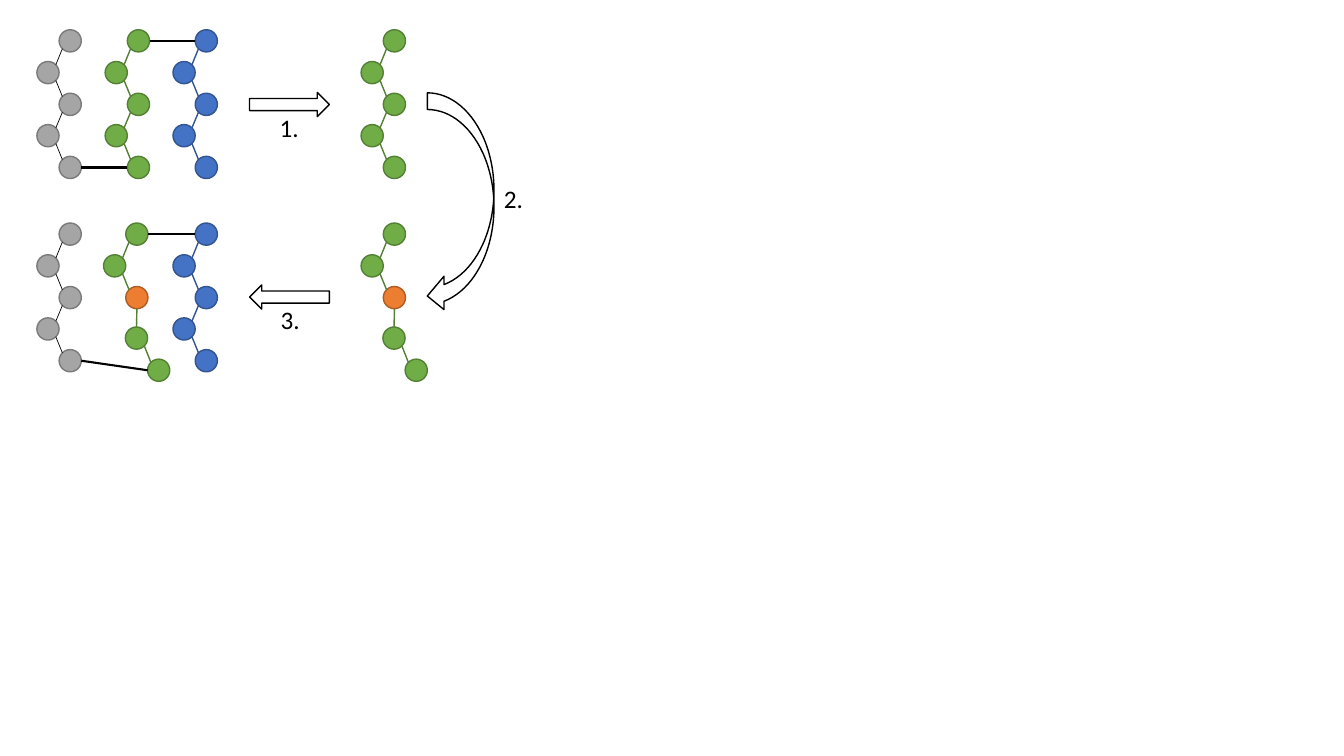
from dataclasses import dataclass
from math import sqrt
from lxml import etree
from pptx import Presentation
from pptx import util as u
from pptx.dml.color import RGBColor
from pptx.enum import shapes, text
from pptx.oxml.ns import qn


@dataclass(frozen=True)
class Theme:
    font: str = "Calibri"
    label_size: float = 18
    ink: str = "000000"
    paper: str = "FFFFFF"
    outline: float = 1
    bridge: float = 1.5


THEME = Theme()
PALETTE = {
    "grey": ("A5A5A5", "7A7A7A", "000000", 0.5),
    "green": ("70AD47", "538035", "538035", 1),
    "blue": ("4472C4", "325491", "325491", 1),
    "orange": ("ED7D31", "AF5C24", "538035", 1),
}
BALL = 0.56
ZIGZAG = [(0, 0), (-BALL, 0.8), (0, 1.6), (-BALL, 2.39), (0, 3.19)]
BULGED = [(0, 0), (-BALL, 0.8), (0, 1.6), (-0.01, 2.62), (0.55, 3.43)]
MUTATED = ["green", "green", "orange", "green", "green"]
UPPER, LOWER = 0.75, 5.62
STRANDS = {
    "folded grey": (1.49, UPPER, ZIGZAG, ["grey"] * 5),
    "folded green": (3.21, UPPER, ZIGZAG, ["green"] * 5),
    "folded blue": (4.92, UPPER, ZIGZAG, ["blue"] * 5),
    "refolded grey": (1.49, LOWER, ZIGZAG, ["grey"] * 5),
    "refolded blue": (4.92, LOWER, ZIGZAG, ["blue"] * 5),
    "mutated": (9.66, LOWER, BULGED, MUTATED),
    "refolded green": (3.17, LOWER, BULGED, MUTATED),
    "extracted": (9.66, UPPER, ZIGZAG, ["green"] * 5),
}
BRIDGES = [
    ("folded grey", "folded green", -1),
    ("folded green", "folded blue", 0),
    ("refolded grey", "refolded green", -1),
    ("refolded green", "refolded blue", 0),
]
ARROWS = [
    (shapes.MSO_SHAPE.RIGHT_ARROW, 6.29, 2.33, 2.01, 0.61, 0, THEME.paper),
    (shapes.MSO_SHAPE.RIGHT_ARROW, 6.29, 7.18, 2.01, 0.61, 180, THEME.paper),
    (shapes.MSO_SHAPE.CURVED_LEFT_ARROW, 10.77, 2.34, 1.68, 5.54, 0, None),
]
LABELS = [("1.", 6.8, 2.7), ("3.", 6.82, 7.55), ("2.", 12.45, 4.5)]


def add_line(parent, start, end, colour, width):
    line = parent.add_connector(
        shapes.MSO_CONNECTOR.STRAIGHT, *(u.Cm(value) for value in (*start, *end)))
    line.line.color.rgb = RGBColor.from_string(colour)
    line.line.width = u.Pt(width)
    etree.SubElement(line._element.spPr, qn("a:effectLst"))


def add_figure(parent, kind, left, top, width, height, fill, outline):
    figure = parent.add_shape(kind, *(u.Cm(value) for value in (left, top, width, height)))
    figure.shadow.inherit = False
    if fill:
        figure.fill.solid()
        figure.fill.fore_color.rgb = RGBColor.from_string(fill)
    else:
        figure.fill.background()
    figure.line.color.rgb = RGBColor.from_string(outline)
    figure.line.width = u.Pt(THEME.outline)
    return figure


def ball_centres(name):
    left, top, offsets, _ = STRANDS[name]
    return [(left + x + BALL / 2, top + y + BALL / 2) for x, y in offsets]


def add_strand(page, name):
    colours = STRANDS[name][3]
    centres = ball_centres(name)
    group = page.shapes.add_group_shape()
    for (x, y), colour in zip(centres, colours):
        fill, outline, _, _ = PALETTE[colour]
        add_figure(group.shapes, shapes.MSO_SHAPE.OVAL,
                   x - BALL / 2, y - BALL / 2, BALL, BALL, fill, outline)
    for (x1, y1), (x2, y2), colour in zip(centres, centres[1:], colours):
        side = round((x2 - x1) / BALL)
        reach = BALL / 2 / sqrt(1 + side * side)
        add_line(group.shapes, (x1 + side * reach, y1 + reach),
                 (x2 - side * reach, y2 - reach), *PALETTE[colour][2:])


deck = Presentation()
deck.slide_width, deck.slide_height = u.Cm(33.87), u.Cm(19.05)
page = deck.slides.add_slide(deck.slide_layouts[6])

for name in STRANDS:
    add_strand(page, name)

for first, second, index in BRIDGES:
    (x1, y1), (x2, y2) = ball_centres(first)[index], ball_centres(second)[index]
    add_line(page.shapes, (x1 + BALL / 2, y1), (x2 - BALL / 2, y2), THEME.ink, THEME.bridge)

for kind, left, top, width, height, turn, fill in ARROWS:
    arrow = add_figure(page.shapes, kind, left, top, width, height, fill, THEME.ink)
    if turn:
        arrow.rotation = turn

for label, left, top in LABELS:
    box = page.shapes.add_textbox(u.Cm(left), u.Cm(top), u.Cm(1), u.Cm(1.03))
    box.text_frame.word_wrap = False
    box.text_frame.auto_size = text.MSO_AUTO_SIZE.SHAPE_TO_FIT_TEXT
    para = box.text_frame.paragraphs[0]
    para.text = label
    para.font.name = THEME.font
    para.font.size = u.Pt(THEME.label_size)
    para.font.color.rgb = RGBColor.from_string(THEME.ink)

deck.save("out.pptx")
